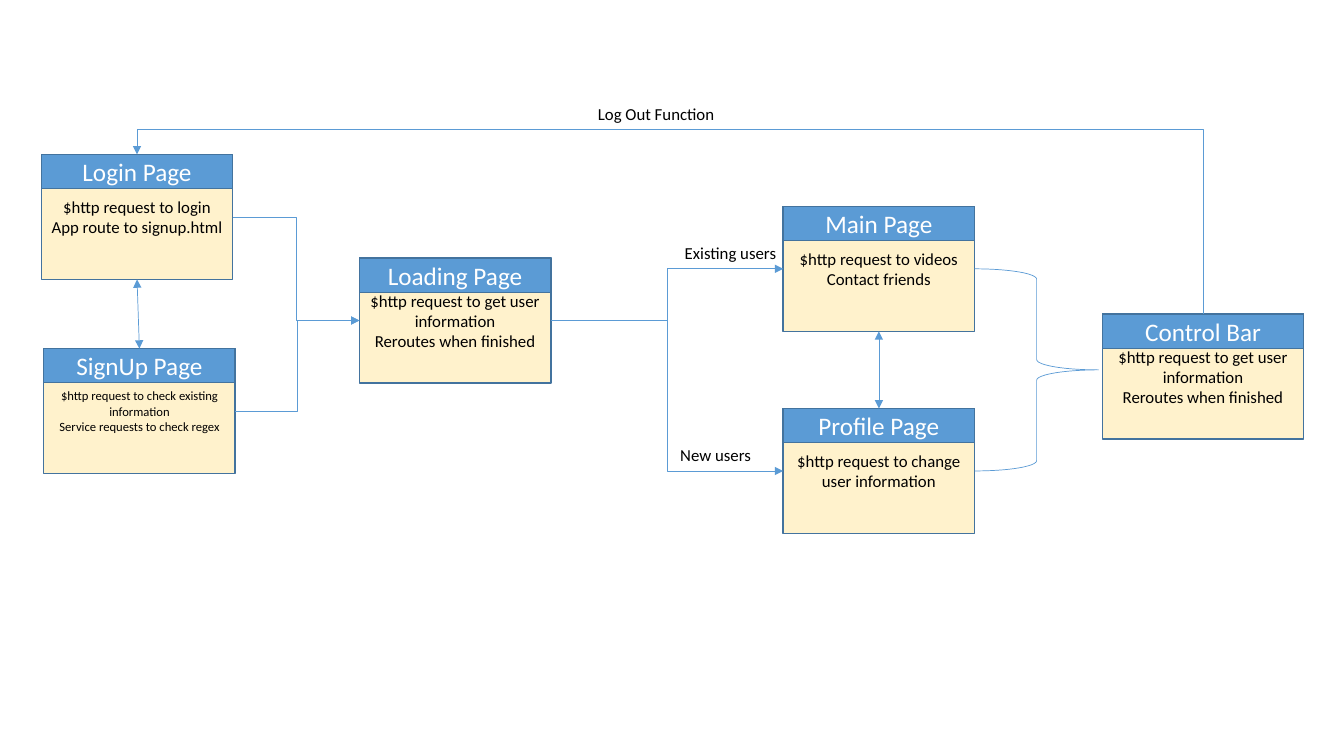
"""Build a slide with the page flow of a web app, from login to control bar."""
from dataclasses import dataclass

from lxml.etree import SubElement
from pptx import Presentation
from pptx.dml.color import RGBColor
from pptx.enum.shapes import MSO_CONNECTOR, MSO_SHAPE
from pptx.enum.text import MSO_ANCHOR, MSO_AUTO_SIZE, PP_ALIGN
from pptx.oxml.ns import qn
from pptx.util import Pt

CARDS = {
    "Login Page": (29.5, 110.3, 136.8, "$http request to login\nApp route to signup.html"),
    "SignUp Page": (31.2, 249, 136.8,
                    "$http request to check existing information\nService requests to check regex"),
    "Loading Page": (256.7, 184.3, 136.8,
                     "$http request to get user information\nReroutes when finished"),
    "Main Page": (559.4, 147.4, 136.8, "$http request to videos\nContact friends"),
    "Profile Page": (559.4, 291.8, 136.8, "$http request to change user information"),
    "Control Bar": (787.6, 224.4, 143.4,
                    "$http request to get user information\nReroutes when finished"),
}
SMALL_CARDS = {"SignUp Page"}
TOP, LEFT, BOTTOM, RIGHT = range(4)
TWO_WAY = [("Login Page", "SignUp Page"), ("Main Page", "Profile Page")]
ONE_WAY = [
    ("Login Page", "Loading Page"),
    ("SignUp Page", "Loading Page"),
    ("Loading Page", "Main Page"),
    ("Loading Page", "Profile Page"),
]
LABELS = [
    ("New users", 478.8, 313.8, 65.5),
    ("Existing users", 482, 169.9, 80.6),
    ("Log Out Function", 420, 70.6, 98.6),
]
CARD_HEIGHT, HEADER_HEIGHT, LABEL_HEIGHT = 89.3, 24.5, 21.6
BRACE_WIDTH = 88.6
LOGOUT_BEND = 115800


@dataclass(frozen=True)
class Theme:
    """Colours, font and sizes of the slide."""
    header: RGBColor = RGBColor(0x5B, 0x9B, 0xD5)
    body: RGBColor = RGBColor(0xFF, 0xF2, 0xCC)
    border: RGBColor = RGBColor(0x43, 0x73, 0x9E)
    dark: RGBColor = RGBColor(0, 0, 0)
    light: RGBColor = RGBColor(0xFF, 0xFF, 0xFF)
    font: str = "Calibri"
    heading: int = 18
    text: int = 12
    small: int = 9
    border_width: float = 1
    flow_width: float = 0.5


THEME = Theme()


def write(frame, text, size, color, align):
    """Fill a text frame and format its runs."""
    frame.text = text
    for para in frame.paragraphs:
        para.alignment = align
        for span in para.runs:
            span.font.name = THEME.font
            span.font.size = Pt(size)
            span.font.color.rgb = color


def add_box(page, bounds, fill, text, size, color):
    """Add a bordered rectangle with centred text."""
    box = page.shapes.add_shape(MSO_SHAPE.RECTANGLE, *map(Pt, bounds))
    box.shadow.inherit = False
    box.fill.solid()
    box.fill.fore_color.rgb = fill
    box.line.color.rgb = THEME.border
    box.line.width = Pt(THEME.border_width)
    box.text_frame.word_wrap = True
    box.text_frame.vertical_anchor = MSO_ANCHOR.MIDDLE
    write(box.text_frame, text, size, color, PP_ALIGN.CENTER)
    return box


def add_card(page, title):
    """Add a page card and return its body."""
    left, top, width, text = CARDS[title]
    size = THEME.small if title in SMALL_CARDS else THEME.text
    body = add_box(page, (left, top, width, CARD_HEIGHT), THEME.body, text, size, THEME.dark)
    add_box(page, (left, top, width, HEADER_HEIGHT), THEME.header, title,
            THEME.heading, THEME.light)
    return body


def add_flow(page, kind, start, start_side, end, end_side, ends=("tailEnd",)):
    """Join two cards with an arrow."""
    flow = page.shapes.add_connector(kind, 0, 0, 0, 0)
    flow.begin_connect(start, start_side)
    flow.end_connect(end, end_side)
    flow.line.color.rgb = THEME.header
    flow.line.width = Pt(THEME.flow_width)
    properties = flow.element.spPr
    for end_name in ends:
        SubElement(properties.find(qn("a:ln")), qn(f"a:{end_name}"), type="triangle")
    SubElement(properties, qn("a:effectLst"))
    return flow


def turn_over_top(flow):
    """Turn an elbow so that it leaves upward and runs above both cards."""
    left, top, width, height = flow.left, flow.top, flow.width, flow.height
    flow.left = left + (width - height) // 2
    flow.top = top + (height - width) // 2
    flow.width, flow.height = height, width
    frame = flow.element.spPr.find(qn("a:xfrm"))
    frame.attrib.pop("flipH", None)
    frame.set("flipV", "1")
    frame.set("rot", str(270 * 60000))
    geometry = flow.element.spPr.find(qn("a:prstGeom"))
    guides = geometry.find(qn("a:avLst"))
    if guides is None:
        guides = SubElement(geometry, qn("a:avLst"))
    SubElement(guides, qn("a:gd"), name="adj1", fmla=f"val {LOGOUT_BEND}")


def add_brace(page, upper, lower):
    """Bracket the middles of two cards on their right side."""
    top = upper.top + upper.height // 2
    bottom = lower.top + lower.height // 2
    brace = page.shapes.add_shape(MSO_SHAPE.RIGHT_BRACE, upper.left + upper.width, top,
                                  Pt(BRACE_WIDTH), bottom - top)
    brace.shadow.inherit = False
    brace.fill.background()
    brace.line.color.rgb = THEME.header
    brace.line.width = Pt(THEME.flow_width)


def add_label(page, text, left, top, width):
    """Add a caption beside an arrow."""
    label = page.shapes.add_textbox(Pt(left), Pt(top), Pt(width), Pt(LABEL_HEIGHT))
    label.text_frame.word_wrap = False
    label.text_frame.auto_size = MSO_AUTO_SIZE.SHAPE_TO_FIT_TEXT
    write(label.text_frame, text, THEME.text, THEME.dark, PP_ALIGN.LEFT)


def main():
    """Build and save the deck."""
    deck = Presentation()
    deck.slide_width, deck.slide_height = Pt(960), Pt(540)
    page = deck.slides.add_slide(deck.slide_layouts[6])
    cards = {title: add_card(page, title) for title in CARDS}
    for upper, lower in TWO_WAY:
        add_flow(page, MSO_CONNECTOR.STRAIGHT, cards[upper], BOTTOM, cards[lower], TOP,
                 ("headEnd", "tailEnd"))
    for start, end in ONE_WAY:
        add_flow(page, MSO_CONNECTOR.ELBOW, cards[start], RIGHT, cards[end], LEFT)
    add_brace(page, cards["Main Page"], cards["Profile Page"])
    turn_over_top(add_flow(page, MSO_CONNECTOR.ELBOW, cards["Control Bar"], TOP,
                           cards["Login Page"], TOP))
    for label in LABELS:
        add_label(page, *label)
    deck.save("out.pptx")


if __name__ == "__main__":
    main()
